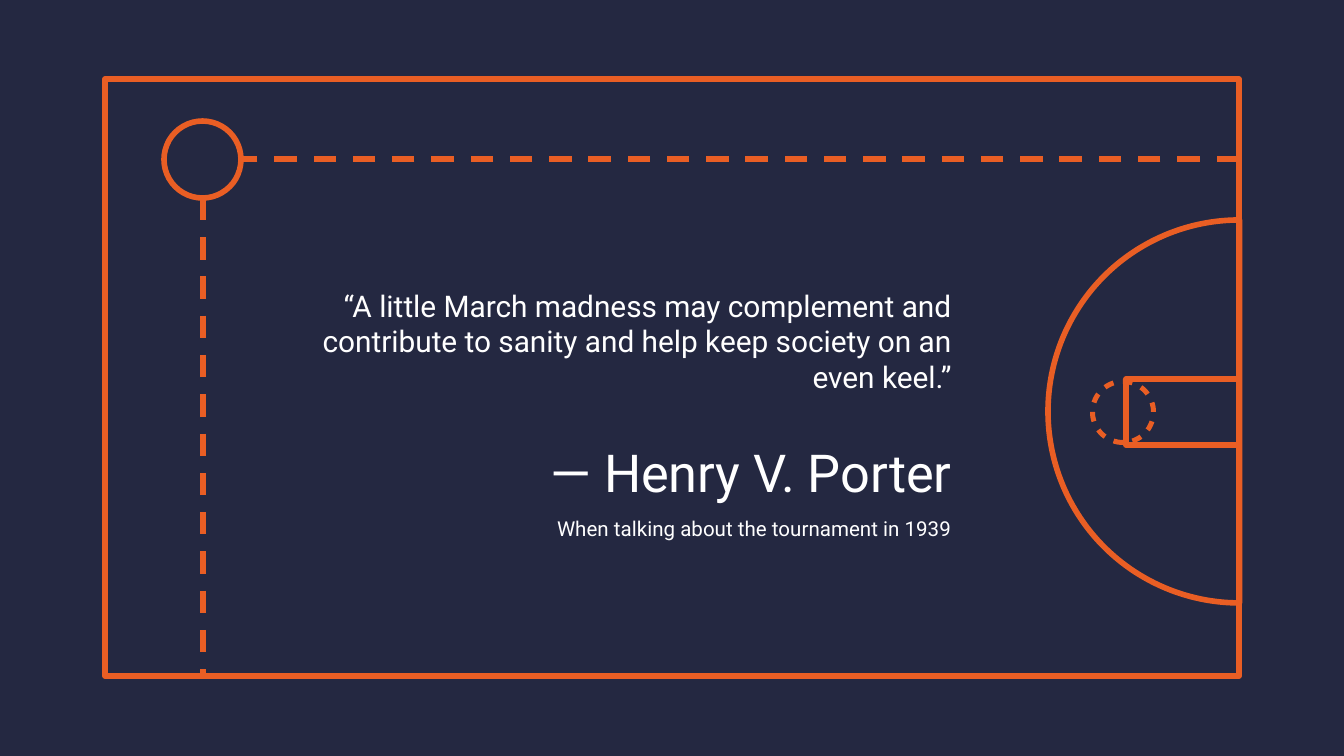
from math import cos, radians, sin

from pptx import Presentation
from pptx.dml.color import RGBColor
from pptx.enum.dml import MSO_LINE
from pptx.enum.shapes import MSO_CONNECTOR, MSO_SHAPE
from pptx.enum.text import MSO_ANCHOR, MSO_AUTO_SIZE, PP_ALIGN
from pptx.oxml.ns import qn
from pptx.util import Inches, Pt

RECT, OVAL, PIE = MSO_SHAPE.RECTANGLE, MSO_SHAPE.OVAL, MSO_SHAPE.PIE
STRAIGHT, DASH = MSO_CONNECTOR.STRAIGHT, MSO_LINE.DASH
NAVY, ORANGE, WHITE = "242841", "E95E24", "FFFFFF"
SCALE = 914400 / 134.4

NAME = ("— Henry V. Porter", 28, (285, 435, 680, 73))
TEXTS = [
    ("“A little March madness may complement and contribute to sanity "
     "and help keep society on an even keel.”", 16, (285, 259, 680, 164)),
    ("When talking about the tournament in 1939", 11, (285, 492, 680, 73)),
]
FRAME = (105, 79, 1134, 597)
ARC = (1048, 220, 383, 383)
KEY = (1126, 379, 113, 66)
SPOT = (164, 121, 77, 77)
LINES = [(1239, 159, 241, 159), (203, 198, 203, 676)]
RING = {"x": 1123, "y": 412, "outer": 33, "inner": 28, "count": 10}


def px(*vals):
    return [round(v * SCALE) for v in vals]


def color(text):
    return RGBColor.from_string(text)


def stroke(line):
    line.color.rgb = color(ORANGE)
    line.width = Pt(3)


def draw(kind, box, fill=None):
    shape = slide.shapes.add_shape(kind, *px(*box))
    shape.shadow.inherit = False
    if fill:
        shape.fill.solid()
        shape.fill.fore_color.rgb = color(fill)
    else:
        shape.fill.background()
    stroke(shape.line)
    return shape


def dashes(x, y, outer, inner, count):
    def arc(radius, angles):
        return [px(x + radius * cos(radians(a)), y + radius * sin(radians(a)))
                for a in angles]

    step = 360 // count
    form = None
    for i in range(count):
        start = i * step - 90
        angles = range(start, start + step // 2 + 1, 3)
        points = arc(outer, angles) + arc(inner, reversed(angles))
        if form:
            form.move_to(*points[0])
        else:
            form = slide.shapes.build_freeform(*points[0], scale=1.0)
        form.add_line_segments(points[1:], close=True)
    shape = form.convert_to_shape()
    shape.shadow.inherit = False
    shape.fill.solid()
    shape.fill.fore_color.rgb = color(ORANGE)
    shape.line.fill.background()


def write(shape, text, size, box):
    shape.left, shape.top, shape.width, shape.height = px(*box)
    frame = shape.text_frame
    frame.text = text
    frame.word_wrap = True
    frame.auto_size = MSO_AUTO_SIZE.NONE
    frame.vertical_anchor = MSO_ANCHOR.MIDDLE
    frame.margin_left = frame.margin_right = Inches(0.1)
    frame.margin_top = frame.margin_bottom = Inches(0.1)
    para = frame.paragraphs[0]
    para.alignment = PP_ALIGN.RIGHT
    font = para.runs[0].font
    font.name, font.size = "Roboto", Pt(size)
    font.color.rgb = color(WHITE)


prs = Presentation()
prs.slide_width, prs.slide_height = px(1344, 756)
slide = prs.slides.add_slide(prs.slide_layouts[5])
slide.background.fill.solid()
slide.background.fill.fore_color.rgb = color(NAVY)

write(slide.shapes.title, *NAME)
draw(RECT, FRAME)
dashes(**RING)
arc = draw(PIE, ARC)
arc.adjustments[0], arc.adjustments[1] = 0, 108
arc.rotation = 90
draw(RECT, KEY)
draw(OVAL, SPOT, NAVY)
for ends in LINES:
    line = slide.shapes.add_connector(STRAIGHT, *px(*ends))
    stroke(line.line)
    line.line.dash_style = DASH
    props = line._element.spPr
    props.append(props.makeelement(qn("a:effectLst"), {}))
for text, size, box in TEXTS:
    write(slide.shapes.add_textbox(*px(*box)), text, size, box)

prs.save("out.pptx")
